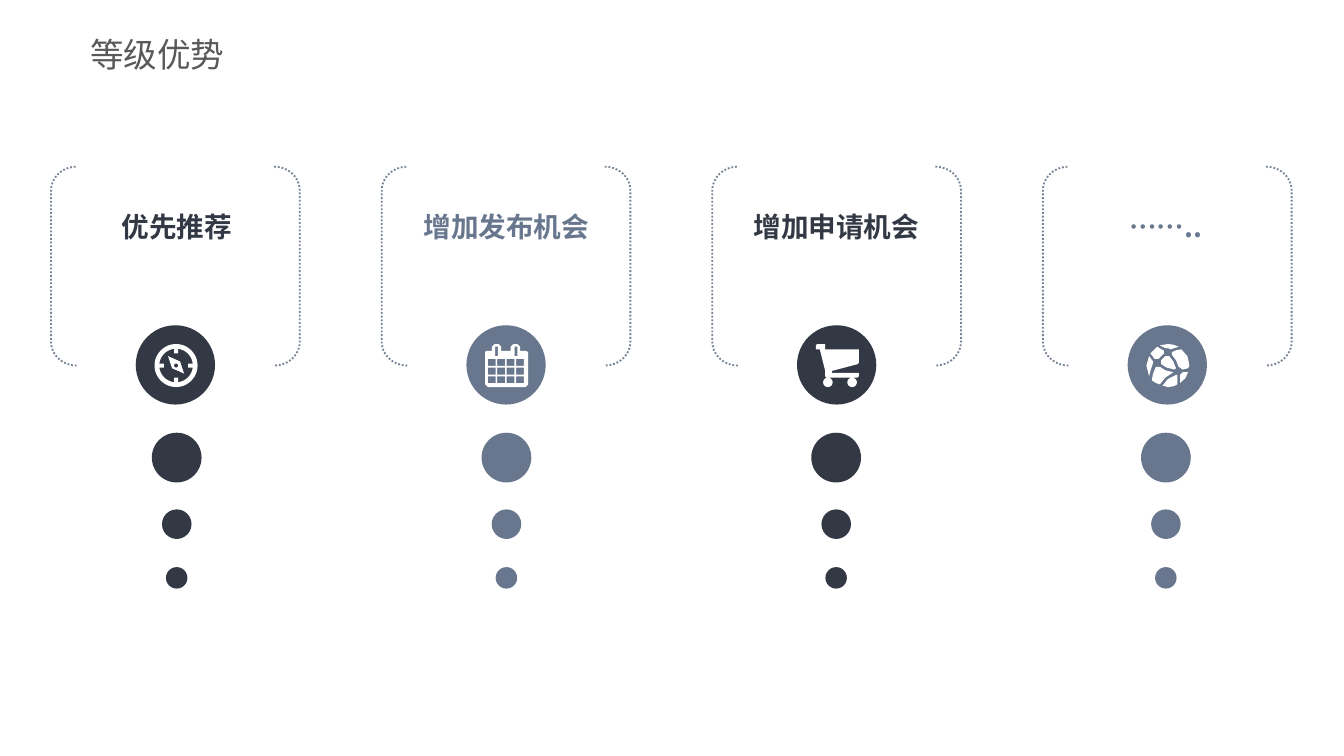
from math import cos, pi, sin

from lxml import etree
from pptx import Presentation
from pptx.dml.color import RGBColor
from pptx.enum.dml import MSO_LINE
from pptx.enum.shapes import MSO_SHAPE
from pptx.enum.text import MSO_ANCHOR, PP_ALIGN
from pptx.oxml.ns import qn
from pptx.util import Inches, Pt

OVAL = MSO_SHAPE.OVAL
BRACKETS = (MSO_SHAPE.LEFT_BRACKET, MSO_SHAPE.RIGHT_BRACKET)
DOTTED = MSO_LINE.ROUND_DOT
LEFT, CENTER = PP_ALIGN.LEFT, PP_ALIGN.CENTER
TOP, MIDDLE = MSO_ANCHOR.TOP, MSO_ANCHOR.MIDDLE
DARK, SLATE, OUTLINE, WHITE, GREY = "323844", "68778E", "778495", "FFFFFF", "595959"
CJK_FONT = "Noto Sans CJK SC"


def color(value):
    return RGBColor.from_string(value)


def disc(x, y, radius, steps=48):
    angles = [2 * pi * step / steps for step in range(steps)]
    return [(x + radius * cos(angle), y + radius * sin(angle)) for angle in angles]


def block(x, y, width, height):
    return [(x, y), (x + width, y), (x + width, y + height), (x, y + height)]


COMPASS = [
    disc(16, 16, 16), disc(16, 16, 12.5),
    block(14.5, 3.5, 3, 3.5), block(14.5, 25, 3, 3.5),
    block(3.5, 14.5, 3.5, 3), block(25, 14.5, 3.5, 3),
    [(10, 9), (19, 13), (22, 22), (13, 18)], disc(16, 16, 1.5),
]
CALENDAR = [
    [(0, 6), (1, 5), (5, 5), (5, 2), (7, 0), (10, 0), (12, 2), (12, 5), (19, 5), (19, 2),
     (21, 0), (24, 0), (26, 2), (26, 5), (30, 5), (32, 6), (32, 30), (30, 32), (2, 32), (0, 30)],
    block(7.5, 2, 2, 7), block(22, 2, 2, 7),
    *[block(x, y, 5.8, 5.2) for y in (11, 17.5, 24) for x in (2, 9, 16, 23)],
]
CART = [
    [(0, 1), (1, 0), (7, 0), (7, 4), (32, 4), (32, 14), (31, 15), (12, 20), (12, 21.5),
     (32, 21.5), (32, 24), (31, 25), (8, 25), (7, 24), (7, 20), (3, 4), (0, 4)],
    disc(9, 28.5, 3.5), disc(27, 28.5, 3.5),
]
GLOBE = [
    [(22, 23), (16, 26), (12, 31), (16, 32), (20, 31.5), (23, 30), (23, 23)],
    [(26, 4), (22.5, 4.5), (19, 6), (19, 8), (22, 12), (24, 17), (27, 19), (31, 18),
     (32, 16), (30.5, 9)],
    [(20, 21), (14, 19.5), (10, 17), (7, 17), (5, 22), (4, 27), (7, 29), (10, 30), (14, 25)],
    [(25, 23), (25, 29), (29, 25.5), (31, 21), (27, 21)],
    [(21, 19), (22, 18), (20, 13), (17, 9), (14, 9), (11, 12), (11, 15), (15, 17.5)],
    [(16, 3), (18, 4), (24, 2), (20, 0.5), (16, 0), (10, 1), (14, 3)],
    [(5, 14), (5, 13), (2, 9), (0, 16), (2, 24), (3, 20)],
    [(8, 11), (9, 11), (13, 7), (13, 5), (8, 2), (3, 7), (6, 11)],
]
BENEFITS = [
    ("优先推荐", DARK, COMPASS),
    ("增加发布机会", SLATE, CALENDAR),
    ("增加申请机会", DARK, CART),
    ("……..", SLATE, GLOBE),
]
CARD_PITCH, TRAIL_PITCH = 2.46, 7.36 / 3
TRAIL = [(3.22, 0.37), (3.79, 0.22), (4.22, 0.16)]
TRAIL_WIDTH = 0.37


class Deck:
    """Holds the shared style and the current slide."""

    def __init__(self, slide):
        self.shapes = slide.shapes

    def paint(self, shape, fill):
        shape.shadow.inherit = False
        shape.fill.solid()
        shape.fill.fore_color.rgb = color(fill)
        shape.line.fill.background()

    def circle(self, x, y, size, fill):
        self.paint(self.shapes.add_shape(OVAL, *map(Inches, (x, y, size, size))), fill)

    def bracket(self, kind, x, y, width, height):
        bracket = self.shapes.add_shape(kind, *map(Inches, (x, y, width, height)))
        bracket.adjustments[0] = 0.93
        bracket.shadow.inherit = False
        bracket.fill.background()
        bracket.line.color.rgb = color(OUTLINE)
        bracket.line.width = Pt(1)
        bracket.line.dash_style = DOTTED

    def icon(self, contours, x, y):
        outlines = [[(Inches(px / 100), Inches(py / 100)) for px, py in contour]
                    for contour in contours]
        builder = self.shapes.build_freeform(*outlines[0][0])
        builder.add_line_segments(outlines[0][1:], close=True)
        for outline in outlines[1:]:
            builder.move_to(*outline[0])
            builder.add_line_segments(outline[1:], close=True)
        self.paint(builder.convert_to_shape(Inches(x), Inches(y)), WHITE)

    def text(self, words, box, size, fill, font, bold=False, wrap=False,
             align=CENTER, anchor=TOP, inset=(0.16, 0)):
        frame = self.shapes.add_textbox(*map(Inches, box)).text_frame
        frame.word_wrap = wrap
        frame.vertical_anchor = anchor
        frame.margin_left = frame.margin_right = Inches(inset[0])
        frame.margin_top = frame.margin_bottom = Inches(inset[1])
        paragraph = frame.paragraphs[0]
        paragraph.text = words
        paragraph.alignment = align
        paragraph.font.size = Pt(size)
        paragraph.font.bold = bold
        paragraph.font.color.rgb = color(fill)
        paragraph.font.name = font
        properties = paragraph._p.pPr.find(qn("a:defRPr"))
        etree.SubElement(properties, qn("a:ea"), typeface=CJK_FONT)


def main():
    presentation = Presentation()
    presentation.slide_width = Inches(10)
    presentation.slide_height = Inches(10 * 9 / 16)
    deck = Deck(presentation.slides.add_slide(presentation.slide_layouts[6]))

    for column, (benefit, fill, icon) in enumerate(BENEFITS):
        card = column * CARD_PITCH
        trail = column * TRAIL_PITCH
        for kind, x in zip(BRACKETS, (0.38, 2.04)):
            deck.bracket(kind, card + x, 1.24, 0.19, 1.48)
        deck.circle(card + 1.01, 2.42, 0.59, fill)
        deck.icon(icon, card + 1.15, 2.56)
        deck.text(benefit, (trail + 0.39, 1.56, 1.85, 0.2), 14.8, fill, CJK_FONT, bold=True)
        for y, size in TRAIL:
            deck.circle(trail + 1.13 + (TRAIL_WIDTH - size) / 2, y, size, fill)
    deck.text("等级优势", (0.67, 0.19, 2.33, 0.42), 18, GREY, "Arial",
              wrap=True, align=LEFT, anchor=MIDDLE, inset=(0, 0.05))

    presentation.save("out.pptx")


if __name__ == "__main__":
    main()
